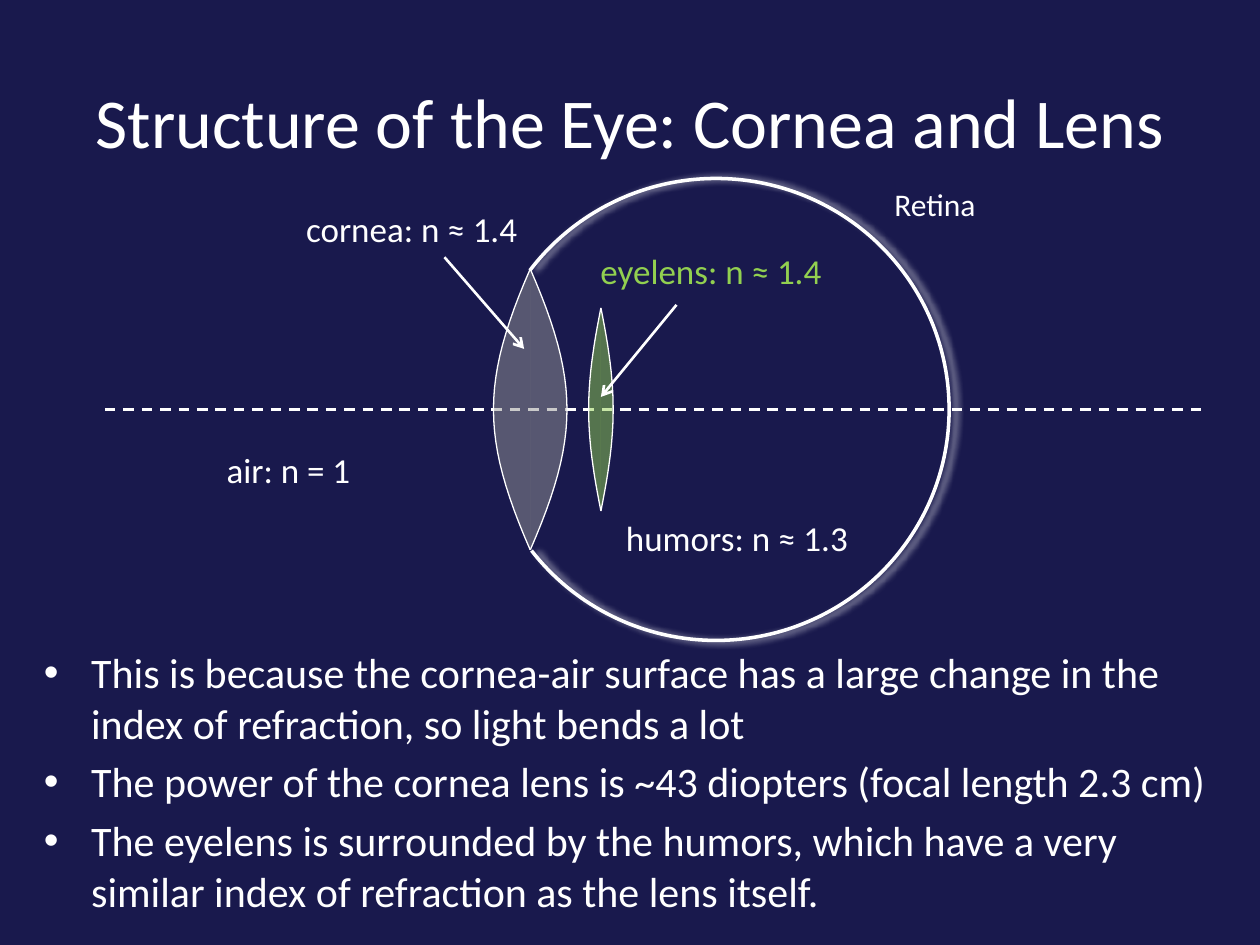
import lxml.etree
import pptx
import pptx.dml.color
import pptx.enum.dml
import pptx.enum.shapes
import pptx.enum.text
import pptx.oxml
import pptx.oxml.ns
import pptx.util

Pt = pptx.util.Pt
qn = pptx.oxml.ns.qn

NAVY = pptx.dml.color.RGBColor(0x19, 0x19, 0x4D)
WHITE = pptx.dml.color.RGBColor(0xFF, 0xFF, 0xFF)
GRAY = pptx.dml.color.RGBColor(0x96, 0x96, 0x96)
GREEN = pptx.dml.color.RGBColor(0x92, 0xD0, 0x50)
FONT = "Calibri"

# Boxes: left, top, width, height in points
TITLE_BOX = (36, 24, 648, 90)
EYE_BOX = (60, 102, 630, 264)
BULLETS_BOX = (18, 366, 684, 168)

TITLE = "Structure of the Eye: Cornea and Lens"
BULLETS = [
    "This is because the cornea-air surface has a large change in the index of refraction, so light bends a lot",
    "The power of the cornea lens is ~43 diopters (focal length 2.3 cm)",
    "The eyelens is surrounded by the humors, which have a very similar index of refraction as the lens itself.",
]

# Label text, left, top, width, height, size, colour (relative to the eye box)
LABELS = [
    ("eyelens: n ≈ 1.4", 276, 37, 142, 31.5, 20, GREEN),
    ("Retina", 444, 0, 62, 29, 18, WHITE),
    ("air: n = 1", 62.4, 150.7, 86, 31.5, 20, WHITE),
    ("cornea: n ≈ 1.4", 107.8, 13.2, 136, 31.5, 20, WHITE),
    ("humors: n ≈ 1.3", 290.6, 189.6, 142.6, 31.5, 20, WHITE),
]
# Label arrows: from x, y, to x, y (relative to the eye box)
ARROWS = [(194, 45, 239.5, 97.4), (326.6, 72.2, 283.4, 124.8)]


def format_runs(paragraph, size, color):
    for run in paragraph.runs:
        run.font.name = FONT
        run.font.size = Pt(size)
        run.font.color.rgb = color


def add_text_box(slide, left, top, width, height, text, size, color):
    shape = slide.shapes.add_textbox(Pt(left), Pt(top), Pt(width), Pt(height))
    shape.text_frame.text = text
    for paragraph in shape.text_frame.paragraphs:
        format_runs(paragraph, size, color)
    return shape


def add_line(slide, start_x, start_y, end_x, end_y):
    connector = slide.shapes.add_connector(
        pptx.enum.shapes.MSO_CONNECTOR.STRAIGHT,
        Pt(start_x), Pt(start_y), Pt(end_x), Pt(end_y))
    connector.line.color.rgb = WHITE
    connector.line.width = Pt(1.5)
    lxml.etree.SubElement(connector._element.spPr, qn("a:effectLst"))
    return connector


def add_lens(slide, center_x, center_y, half_width, height, color, steps=24):
    """Draw two mirrored, half-transparent bulging halves as one group."""
    group = slide.shapes.add_group_shape()
    top = center_y - height / 2
    for side in (1, -1):
        points = []
        for step in range(steps + 1):
            t = step / steps
            bulge = 4 * t * (1 - t) * half_width
            drop = 1.2 * t * (1 - t) ** 2 + 1.8 * t ** 2 * (1 - t) + t ** 3
            points.append((Pt(center_x + side * bulge), Pt(top + drop * height)))
        builder = group.shapes.build_freeform(*points[0])
        builder.add_line_segments(points[1:], close=False)
        half = builder.convert_to_shape()
        half.shadow.inherit = False
        half.fill.solid()
        half.fill.fore_color.rgb = color
        fill_color = half._element.spPr.find(qn("a:solidFill"))[0]
        lxml.etree.SubElement(fill_color, qn("a:alpha"), val="50000")
        half.line.color.rgb = WHITE
        half.line.width = Pt(0.75)


def add_eyeball(slide, left, top, width, height):
    arc = slide.shapes.add_shape(
        pptx.enum.shapes.MSO_SHAPE.ARC, Pt(left), Pt(top), Pt(width), Pt(height))
    arc.adjustments[0] = 130.035
    arc.adjustments[1] = 85.552
    arc.fill.background()
    arc.line.color.rgb = WHITE
    arc.line.width = Pt(2)
    # Soft white glow to the right
    arc.shadow.inherit = False
    effects = arc._element.spPr.find(qn("a:effectLst"))
    glow = lxml.etree.SubElement(
        effects, qn("a:outerShdw"), blurRad=str(Pt(4)), dist=str(Pt(3)),
        dir="0", algn="ctr", rotWithShape="0")
    glow_color = lxml.etree.SubElement(glow, qn("a:srgbClr"), val=str(WHITE))
    lxml.etree.SubElement(glow_color, qn("a:alpha"), val="66000")


def add_title(slide, box):
    text_frame = add_text_box(slide, *box, TITLE, 40, WHITE).text_frame
    text_frame.word_wrap = True
    text_frame.vertical_anchor = pptx.enum.text.MSO_ANCHOR.MIDDLE
    text_frame.paragraphs[0].alignment = pptx.enum.text.PP_ALIGN.CENTER


def add_eye(slide, box):
    left, top, width, height = box
    axis_y = top + height / 2

    # Optical axis
    axis = add_line(slide, left, axis_y, left + width, axis_y)
    axis.line.dash_style = pptx.enum.dml.MSO_LINE.DASH

    # Cornea, eyelens and eyeball
    add_lens(slide, left + 243, axis_y, 21, 160.6, GRAY)
    add_lens(slide, left + 283.4, axis_y, 7, 116, GREEN)
    add_eyeball(slide, left + 216, top, 266.4, height)

    # Labels
    for text, x, y, label_width, label_height, size, color in LABELS:
        label = add_text_box(slide, left + x, top + y, label_width, label_height,
                             text, size, color)
        label.text_frame.word_wrap = False
        label.text_frame.auto_size = pptx.enum.text.MSO_AUTO_SIZE.SHAPE_TO_FIT_TEXT

    # Arrows from labels to lenses
    for start_x, start_y, end_x, end_y in ARROWS:
        arrow = add_line(slide, left + start_x, top + start_y,
                         left + end_x, top + end_y)
        lxml.etree.SubElement(arrow.line._get_or_add_ln(), qn("a:tailEnd"), type="arrow")


def add_bullets(slide, box):
    text_frame = add_text_box(slide, *box, "\n".join(BULLETS), 24, WHITE).text_frame
    text_frame.word_wrap = True
    for index, paragraph in enumerate(text_frame.paragraphs):
        if index:
            paragraph.space_before = Pt(4.8)
        properties = paragraph._p.get_or_add_pPr()
        properties.set("marL", str(Pt(27)))
        properties.set("indent", str(Pt(-27)))
        lxml.etree.SubElement(properties, qn("a:buFont"), typeface="Arial")
        lxml.etree.SubElement(properties, qn("a:buChar"), char="•")


def main():
    presentation = pptx.Presentation()
    presentation.slide_width = Pt(720)
    presentation.slide_height = Pt(540)
    slide = presentation.slides.add_slide(presentation.slide_layouts[6])
    slide.background.fill.solid()
    slide.background.fill.fore_color.rgb = NAVY
    add_title(slide, TITLE_BOX)
    add_eye(slide, EYE_BOX)
    add_bullets(slide, BULLETS_BOX)
    presentation.save("out.pptx")


if __name__ == "__main__":
    main()
